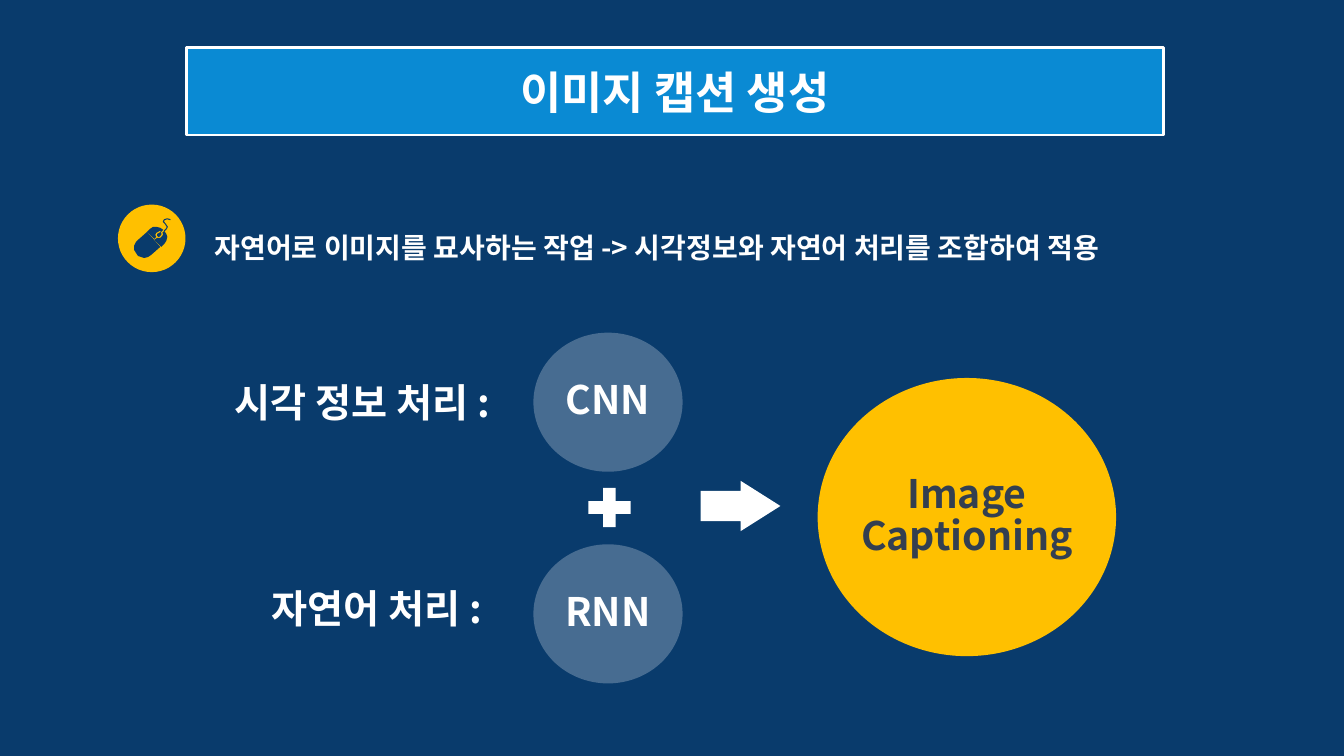
from pptx import Presentation
from pptx.dml.color import RGBColor
from pptx.enum import shapes, text
from pptx.util import Inches, Pt

FONT = "Noto Sans CJK KR"
COLORS = {"navy": "093B6C", "blue": "0A8AD3", "white": "FFFFFF",
          "yellow": "FFC000", "steel": "476C91", "slate": "333F50"}

TITLE = "이미지 캡션 생성"
SUMMARY = "자연어로 이미지를 묘사하는 작업 -> 시각정보와 자연어 처리를 조합하여 적용"
RESULT = "Image\vCaptioning"
# label, label left, label top, network, circle top
INPUTS = [("시각 정보 처리 : ", 2.13, 3.7, "CNN", 3.3),
          ("자연어 처리 : ", 2.28, 5.75, "RNN", 5.4)]

MOUSE_PARTS = {
    "left button": [(1.46, 2.3), (1.49, 2.27), (1.52, 2.25), (1.55, 2.25), (1.59, 2.26),
                    (1.62, 2.28), (1.6, 2.3), (1.58, 2.29), (1.57, 2.3), (1.55, 2.31),
                    (1.54, 2.33), (1.55, 2.35), (1.53, 2.37)],
    "body": [(1.46, 2.3), (1.59, 2.45), (1.5, 2.53), (1.47, 2.55), (1.43, 2.56),
             (1.4, 2.55), (1.37, 2.54), (1.35, 2.51), (1.33, 2.48), (1.33, 2.44),
             (1.35, 2.4), (1.37, 2.38)],
    "right button": [(1.63, 2.29), (1.65, 2.32), (1.66, 2.35), (1.65, 2.39), (1.63, 2.42),
                     (1.6, 2.45), (1.53, 2.38), (1.56, 2.36), (1.59, 2.36), (1.61, 2.34),
                     (1.62, 2.32), (1.61, 2.31)],
    "wheel": [(1.59, 2.3), (1.6, 2.31), (1.6, 2.33), (1.58, 2.35), (1.57, 2.35),
              (1.56, 2.34), (1.56, 2.32), (1.58, 2.31)],
}
MOUSE_CORD = [(1.69, 2.18), (1.66, 2.17), (1.63, 2.18), (1.62, 2.2), (1.64, 2.22),
              (1.66, 2.25), (1.65, 2.27), (1.63, 2.29)]


def color(name):
    return RGBColor.from_string(COLORS[name])


def write(shape, words, size, ink="white", align=text.PP_ALIGN.CENTER, spacing=1.0):
    para = shape.text_frame.paragraphs[0]
    para.text = words
    para.alignment = align
    para.line_spacing = spacing
    para.font.name = FONT
    para.font.size = Pt(size)
    para.font.bold = True
    para.font.color.rgb = color(ink)


def add_shape(parent, kind, place, fill):
    shape = parent.add_shape(kind, *map(Inches, place))
    shape.shadow.inherit = False
    shape.fill.solid()
    shape.fill.fore_color.rgb = color(fill)
    shape.line.fill.background()
    return shape


def add_circle(parent, place, fill, words, ink="white"):
    circle = add_shape(parent, shapes.MSO_SHAPE.OVAL, place, fill)
    circle.text_frame.word_wrap = False
    circle.text_frame.vertical_anchor = text.MSO_ANCHOR.MIDDLE
    write(circle, words, 28, ink, spacing=0.9)


def add_text(parent, place, words, size, **style):
    box = parent.add_textbox(*map(Inches, place))
    box.text_frame.word_wrap = True
    write(box, words, size, **style)


def add_outline(parent, points, closed=True):
    corners = [(Inches(x), Inches(y)) for x, y in points]
    builder = parent.build_freeform(*corners[0])
    builder.add_line_segments(corners[1:], close=closed)
    outline = builder.convert_to_shape()
    outline.shadow.inherit = False
    return outline


def add_mouse_icon(parent):
    icon = parent.add_group_shape().shapes
    add_shape(icon, shapes.MSO_SHAPE.OVAL, (1.17, 2.03, 0.67, 0.67), "yellow")
    for points in MOUSE_PARTS.values():
        part = add_outline(icon, points)
        part.fill.solid()
        part.fill.fore_color.rgb = color("navy")
        part.line.fill.background()
    cord = add_outline(icon, MOUSE_CORD, closed=False)
    cord.fill.background()
    cord.line.color.rgb = color("navy")
    cord.line.width = Pt(0.75)


def main():
    deck = Presentation()
    deck.slide_width, deck.slide_height = Inches(13.33), Inches(7.5)
    page = deck.slides.add_slide(deck.slide_layouts[6])
    page.background.fill.solid()
    page.background.fill.fore_color.rgb = color("navy")
    items = page.shapes

    banner = add_shape(items, shapes.MSO_SHAPE.RECTANGLE, (1.85, 0.47, 9.69, 0.87), "blue")
    banner.line.color.rgb = color("white")
    banner.line.width = Pt(2)
    banner.text_frame.vertical_anchor = text.MSO_ANCHOR.MIDDLE
    write(banner, TITLE, 32)

    add_mouse_icon(items)
    add_text(items, (2.03, 2.07, 10.81, 0.54), SUMMARY, 20,
             align=text.PP_ALIGN.LEFT, spacing=1.5)

    for label, left, label_top, network, circle_top in INPUTS:
        add_circle(items, (5.29, circle_top, 1.48, 1.38), "steel", network)
        add_text(items, (left, label_top, 3.01, 0.57), label, 28)

    add_shape(items, shapes.MSO_SHAPE.MATH_PLUS, (5.76, 4.77, 0.57, 0.53), "white")
    arrow = add_shape(items, shapes.MSO_SHAPE.RIGHT_ARROW, (6.95, 4.77, 0.79, 0.5), "white")
    arrow.adjustments[0] = 0.6
    arrow.adjustments[1] = 0.79
    add_circle(items, (8.11, 3.75, 2.96, 2.76), "yellow", RESULT, "slate")

    deck.save("out.pptx")


if __name__ == "__main__":
    main()
